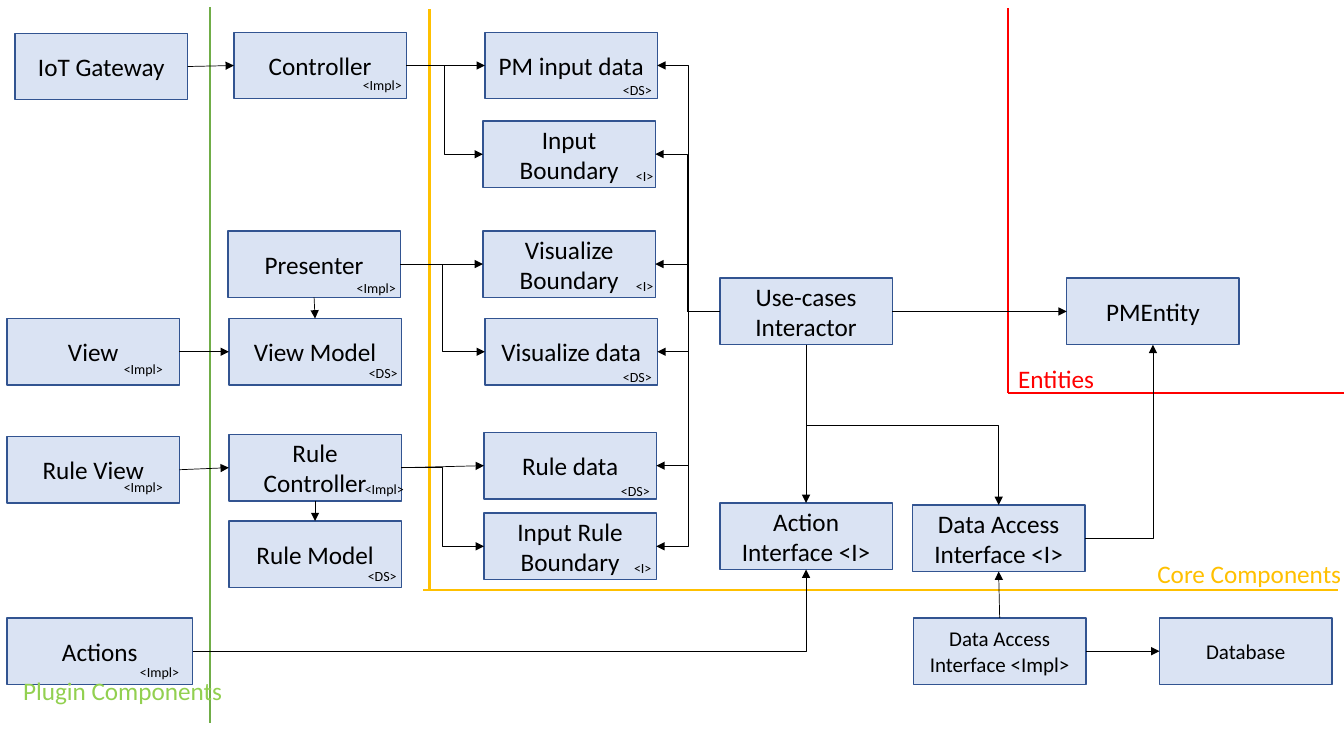
import pptx
import pptx.dml.color
import pptx.enum.shapes
import pptx.enum.text
import pptx.oxml
import pptx.oxml.ns
import pptx.util
from lxml import etree

Inches, Pt = pptx.util.Inches, pptx.util.Pt
RGBColor = pptx.dml.color.RGBColor
STRAIGHT = pptx.enum.shapes.MSO_CONNECTOR.STRAIGHT
ELBOW = pptx.enum.shapes.MSO_CONNECTOR.ELBOW
qn = pptx.oxml.ns.qn

BLACK = RGBColor(0x00, 0x00, 0x00)
BOX_FILL = RGBColor(0xDA, 0xE3, 0xF3)
BOX_LINE = RGBColor(0x32, 0x54, 0x91)
RED = RGBColor(0xFF, 0x00, 0x00)
AMBER = RGBColor(0xFF, 0xC0, 0x00)
GREEN = RGBColor(0x70, 0xAD, 0x47)
LIME = RGBColor(0x92, 0xD0, 0x50)
FONT = "Calibri"

# Grid: columns by layer, and the size of a box
OUTER, ADAPTER, BOUNDARY, USE_CASE, ACCESS, ENTITY, STORE = (
    0.07, 2.27, 4.8, 7.14, 9.05, 10.58, 11.5)
BOX_W, BOX_H = 1.71, 0.66
TOP, RIGHT_ROW, VIEW_ROW, RULE_ROW, ACCESS_ROW, BOTTOM = 0.32, 2.76, 3.16, 4.31, 5.0, 6.13
PRESENT_ROW = 2.29
TOP_SIDE, LEFT, BOTTOM_SIDE, RIGHT = 0, 1, 2, 3

prs = pptx.Presentation()
prs.slide_width, prs.slide_height = Inches(13.33), Inches(7.5)
slide = prs.slides.add_slide(prs.slide_layouts[6])


def side_middle(box, side):
    """Middle of one side of a box."""
    x = box.left + (0, box.width // 2)[side in (TOP_SIDE, BOTTOM_SIDE)]
    y = box.top + (0, box.height // 2)[side in (LEFT, RIGHT)]
    return (x + box.width * (side == RIGHT), y + box.height * (side == BOTTOM_SIDE))


def draw_line(kind, start, end, color=BLACK, width=0.5, arrow=True):
    """Line or arrow without shadow."""
    line = slide.shapes.add_connector(kind, *start, *end)
    line.line.color.rgb = color
    line.line.width = Pt(width)
    if arrow:
        etree.SubElement(line.line._get_or_add_ln(), qn("a:tailEnd"), type="triangle")
    etree.SubElement(line._element.spPr, qn("a:effectLst"))
    return line


# Boxes: text, column, row, width, text size, tag and its offset in the box
components = [
    ("IoT Gateway", OUTER + 0.08, TOP + 0.01, BOX_W, 18, None),
    ("View", OUTER, VIEW_ROW, BOX_W, 18, ("<Impl>", 1.06, 0.37)),
    ("Rule View", OUTER, RULE_ROW + 0.02, BOX_W, 18, ("<Impl>", 1.06, 0.37)),
    ("Actions", OUTER, BOTTOM, 1.84, 18, ("<Impl>", 1.22, 0.4)),
    ("Controller", ADAPTER + 0.05, TOP, BOX_W, 18, ("<Impl>", 1.18, 0.39)),
    ("Presenter", ADAPTER - 0.01, PRESENT_ROW, BOX_W, 18, ("<Impl>", 1.18, 0.43)),
    ("View Model", ADAPTER, VIEW_ROW, BOX_W, 18, ("<DS>", 1.29, 0.41)),
    ("Rule Controller", ADAPTER, RULE_ROW, BOX_W, 18, ("<Impl>", 1.25, 0.41)),
    ("Rule Model", ADAPTER, 5.17, BOX_W, 18, ("<DS>", 1.28, 0.41)),
    ("PM input data", BOUNDARY + 0.01, TOP, BOX_W, 18, ("<DS>", 1.27, 0.44)),
    ("Input Boundary", BOUNDARY - 0.01, 1.2, BOX_W, 18, ("<I>", 1.42, 0.41)),
    ("Visualize Boundary", BOUNDARY - 0.01, PRESENT_ROW, BOX_W, 18, ("<I>", 1.42, 0.41)),
    ("Visualize data", BOUNDARY + 0.01, VIEW_ROW, BOX_W, 18, ("<DS>", 1.27, 0.45)),
    ("Rule data", BOUNDARY, RULE_ROW - 0.02, BOX_W, 18, ("<DS>", 1.26, 0.45)),
    ("Input Rule Boundary", BOUNDARY, 5.09, BOX_W, 18, ("<I>", 1.39, 0.41)),
    ("Use-cases Interactor", USE_CASE, RIGHT_ROW, BOX_W, 18, None),
    ("Action Interface <I>", USE_CASE, ACCESS_ROW - 0.01, BOX_W, 18, None),
    ("Data Access Interface <I>", ACCESS, ACCESS_ROW + 0.01, BOX_W, 18, None),
    ("Data Access Interface <Impl>", ACCESS + 0.01, BOTTOM, BOX_W, 15, None),
    ("PMEntity", ENTITY, RIGHT_ROW, BOX_W, 18, None),
    ("Database", STORE, BOTTOM, BOX_W, 15, None),
]
boxes = {}
labels = [
    ("Entities", 10, 3.56, 1.48, 0.4, 18, RED),
    ("Core Components", 11.38, 5.49, 2.58, 0.4, 18, AMBER),
    ("Plugin Components", 0.13, 6.65, 2.58, 0.4, 18, LIME),
]
for name, column, row, width, size, tag in components:
    box = slide.shapes.add_shape(
        pptx.enum.shapes.MSO_SHAPE.RECTANGLE,
        Inches(column), Inches(row), Inches(width), Inches(BOX_H))
    box.shadow.inherit = False
    box.fill.solid()
    box.fill.fore_color.rgb = BOX_FILL
    box.line.color.rgb = BOX_LINE
    box.line.width = Pt(1)
    box.text_frame.text = name
    box.text_frame.vertical_anchor = pptx.enum.text.MSO_ANCHOR.MIDDLE
    caption = box.text_frame.paragraphs[0]
    caption.alignment = pptx.enum.text.PP_ALIGN.CENTER
    caption.font.name, caption.font.size = FONT, Pt(size)
    caption.font.color.rgb = BLACK
    boxes[name] = box
    if tag:
        stereotype, dx, dy = tag
        labels.append((stereotype, column + dx, row + dy, 0.63, 0.27, 10, BLACK))

# Zone borders
for x1, y1, x2, y2, color in [
    (10, 0.08, 10, 3.9, RED), (13.33, 3.9, 10, 3.9, RED),
    (4.26, 0.09, 4.26, 5.85, AMBER), (13.27, 5.85, 4.2, 5.85, AMBER),
    (2.08, 0.07, 2.08, 7.17, GREEN),
]:
    draw_line(STRAIGHT, (Inches(x1), Inches(y1)), (Inches(x2), Inches(y2)),
              color, 1.5, arrow=False)

# Straight arrows, joined to the boxes
for source, start_side, target, end_side in [
    ("IoT Gateway", RIGHT, "Controller", LEFT),
    ("View", RIGHT, "View Model", LEFT),
    ("Rule View", RIGHT, "Rule Controller", LEFT),
    ("Controller", RIGHT, "PM input data", LEFT),
    ("Presenter", RIGHT, "Visualize Boundary", LEFT),
    ("Rule Controller", RIGHT, "Rule data", LEFT),
    ("Presenter", BOTTOM_SIDE, "View Model", TOP_SIDE),
    ("Rule Controller", BOTTOM_SIDE, "Rule Model", TOP_SIDE),
    ("Use-cases Interactor", RIGHT, "PMEntity", LEFT),
    ("Use-cases Interactor", BOTTOM_SIDE, "Action Interface <I>", TOP_SIDE),
    ("Data Access Interface <Impl>", TOP_SIDE, "Data Access Interface <I>", BOTTOM_SIDE),
    ("Data Access Interface <Impl>", RIGHT, "Database", LEFT),
]:
    arrow = draw_line(STRAIGHT, side_middle(boxes[source], start_side),
                      side_middle(boxes[target], end_side))
    arrow.begin_connect(boxes[source], start_side)
    arrow.end_connect(boxes[target], end_side)

# Elbow arrows with two bends: adapters to boundaries, interactor to boundaries
for source, target in [("Controller", "Input Boundary"), ("Presenter", "Visualize data"),
                       ("Rule Controller", "Input Rule Boundary")]:
    draw_line(ELBOW, side_middle(boxes[source], RIGHT), side_middle(boxes[target], LEFT))
for target in ["PM input data", "Input Boundary", "Visualize Boundary",
               "Visualize data", "Rule data", "Input Rule Boundary"]:
    draw_line(ELBOW, side_middle(boxes["Use-cases Interactor"], LEFT),
              side_middle(boxes[target], RIGHT))

# Elbow arrows with one bend
for source, target in [("Data Access Interface <I>", "PMEntity"),
                       ("Actions", "Action Interface <I>")]:
    corner = draw_line(ELBOW, side_middle(boxes[source], RIGHT),
                       side_middle(boxes[target], BOTTOM_SIDE))
    corner._element.spPr.find(qn("a:prstGeom")).set("prst", "bentConnector2")

# Elbow arrow that leaves downwards: drawn lying down, then turned about its centre
x1, y1 = side_middle(boxes["Use-cases Interactor"], BOTTOM_SIDE)
x2, y2 = side_middle(boxes["Data Access Interface <I>"], TOP_SIDE)
center_x, center_y = (x1 + x2) // 2, (y1 + y2) // 2
half_w, half_h = (y2 - y1) // 2, (x2 - x1) // 2
descent = draw_line(ELBOW, (center_x + half_w, center_y - half_h),
                    (center_x - half_w, center_y + half_h))
descent._element.spPr.find(qn("a:xfrm")).set("rot", str(270 * 60000))

# Zone names and stereotype tags
for text, left, top, width, height, size, color in labels:
    label = slide.shapes.add_textbox(
        Inches(left), Inches(top), Inches(width), Inches(height)).text_frame
    label.word_wrap = True
    label.auto_size = pptx.enum.text.MSO_AUTO_SIZE.SHAPE_TO_FIT_TEXT
    label.text = text
    line_font = label.paragraphs[0].font
    line_font.name, line_font.size = FONT, Pt(size)
    line_font.color.rgb = color

prs.save("out.pptx")
